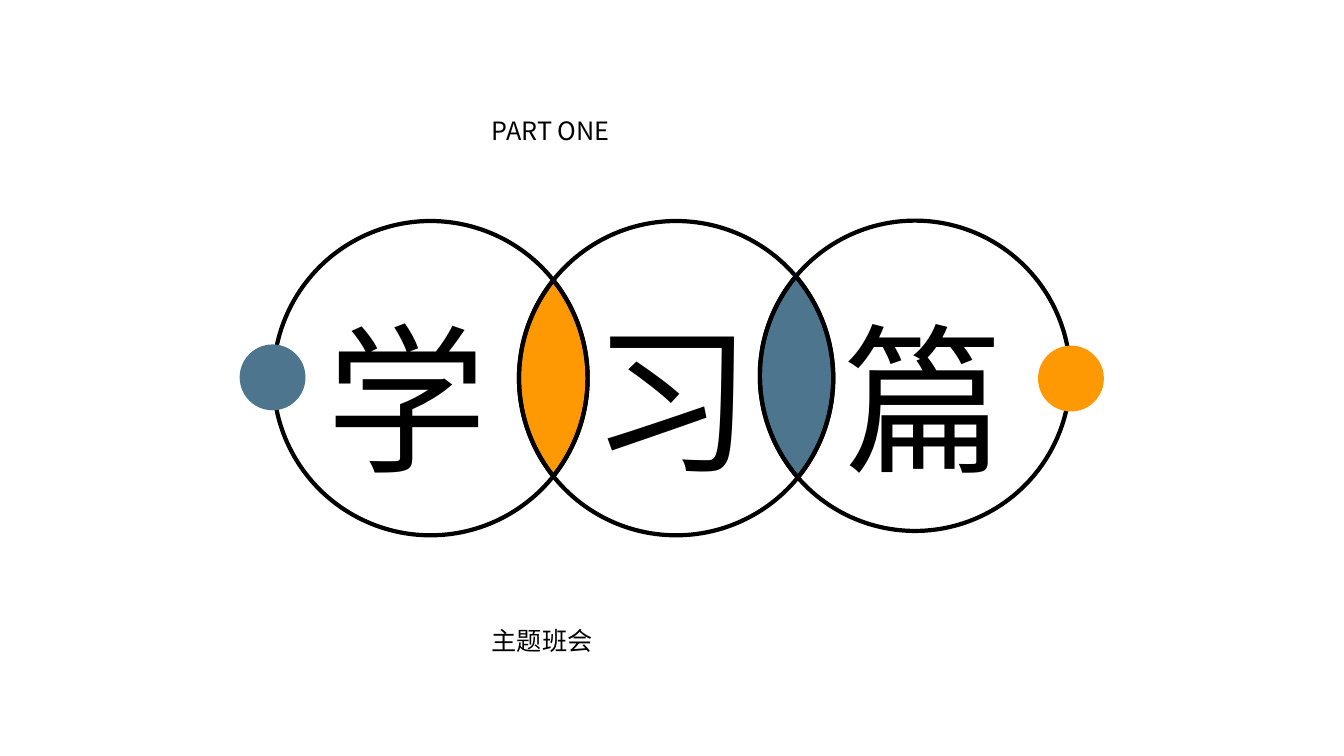
from dataclasses import dataclass
from math import acos, atan2, cos, hypot, sin

from lxml.etree import SubElement
from pptx import Presentation
from pptx.dml.color import RGBColor
from pptx.enum.shapes import MSO_SHAPE
from pptx.enum.text import MSO_ANCHOR, MSO_AUTO_SIZE, PP_ALIGN
from pptx.oxml.ns import qn
from pptx.util import Cm, Pt

FONT = "Noto Sans CJK JP"
COLORS = {"ink": "000000", "blue": "4E758E", "gold": "FE9903"}
STEPS = 40


@dataclass
class Ring:
    x: float
    y: float
    r: float

    def point(self, angle: float) -> tuple[int, int]:
        return Cm(self.x + self.r * cos(angle)), Cm(self.y + self.r * sin(angle))


@dataclass
class Label:
    text: str
    left: float
    top: float
    width: float
    height: float
    size: int
    align: PP_ALIGN


RINGS = [Ring(10.85, 9.53, 3.96), Ring(17.04, 9.53, 3.96), Ring(23.06, 9.47, 3.91)]
DOTS = [(Ring(6.87, 9.51, 0.83), "blue"), (Ring(26.99, 9.54, 0.83), "gold")]
TITLE = Label("PART ONE", 12.14, 2.77, 9.58, 1.02, 18, PP_ALIGN.JUSTIFY)
LABELS = [Label("主题班会", 12.14, 15.62, 11.13, 1.02, 18, PP_ALIGN.JUSTIFY)]
LABELS += [
    Label(char, left, 7.42, 4.75, 5.18, 115, PP_ALIGN.LEFT)
    for char, left in zip("学习篇", (7.98, 14.66, 21.01))
]


def color(name: str) -> RGBColor:
    return RGBColor.from_string(COLORS[name])


def paint(shape, fill: str | None, line: str | None) -> None:
    shape.shadow.inherit = False
    if fill:
        shape.fill.solid()
        shape.fill.fore_color.rgb = color(fill)
    else:
        shape.fill.background()
    if line:
        shape.line.color.rgb = color(line)
        shape.line.width = Pt(3)
    else:
        shape.line.fill.background()


def add_ring(slide, ring: Ring, fill: str | None, line: str | None) -> None:
    side = Cm(2 * ring.r)
    shape = slide.shapes.add_shape(
        MSO_SHAPE.OVAL, Cm(ring.x - ring.r), Cm(ring.y - ring.r), side, side
    )
    paint(shape, fill, line)


def trace(ring: Ring, middle: float, half: float) -> list[tuple[int, int]]:
    """Return points along an arc centred on the angle middle."""
    return [ring.point(middle + half * (2 * i / STEPS - 1)) for i in range(STEPS + 1)]


def add_lens(slide, one: Ring, two: Ring, fill: str) -> None:
    """Fill the overlap of two rings."""
    dx, dy = two.x - one.x, two.y - one.y
    gap, tilt = hypot(dx, dy), atan2(dy, dx)
    near = (gap**2 + one.r**2 - two.r**2) / (2 * gap)
    points = trace(one, tilt, acos(near / one.r))
    points += trace(two, atan2(-dy, -dx), acos((gap - near) / two.r))
    pen = slide.shapes.build_freeform(*points[0])
    pen.add_line_segments(points[1:], close=True)
    paint(pen.convert_to_shape(), fill, "ink")


def write(box, label: Label) -> None:
    box.left, box.top = Cm(label.left), Cm(label.top)
    box.width, box.height = Cm(label.width), Cm(label.height)
    frame = box.text_frame
    frame.word_wrap = True
    frame.auto_size = MSO_AUTO_SIZE.SHAPE_TO_FIT_TEXT
    frame.vertical_anchor = MSO_ANCHOR.TOP
    para = frame.paragraphs[0]
    para.alignment = label.align
    run = para.add_run()
    run.text = label.text
    run.font.size = Pt(label.size)
    run.font.color.rgb = color("ink")
    run.font.name = FONT
    SubElement(run.font._element, qn("a:ea"), typeface=FONT)


def main() -> None:
    deck = Presentation()
    deck.slide_width, deck.slide_height = Cm(33.87), Cm(19.05)
    slide = deck.slides.add_slide(deck.slide_layouts[5])
    for one, two, fill in zip(RINGS, RINGS[1:], ("gold", "blue")):
        add_lens(slide, one, two, fill)
    for ring in RINGS:
        add_ring(slide, ring, None, "ink")
    for dot, fill in DOTS:
        add_ring(slide, dot, fill, None)
    write(slide.shapes.title, TITLE)
    for label in LABELS:
        write(slide.shapes.add_textbox(0, 0, 0, 0), label)
    deck.save("out.pptx")


if __name__ == "__main__":
    main()
